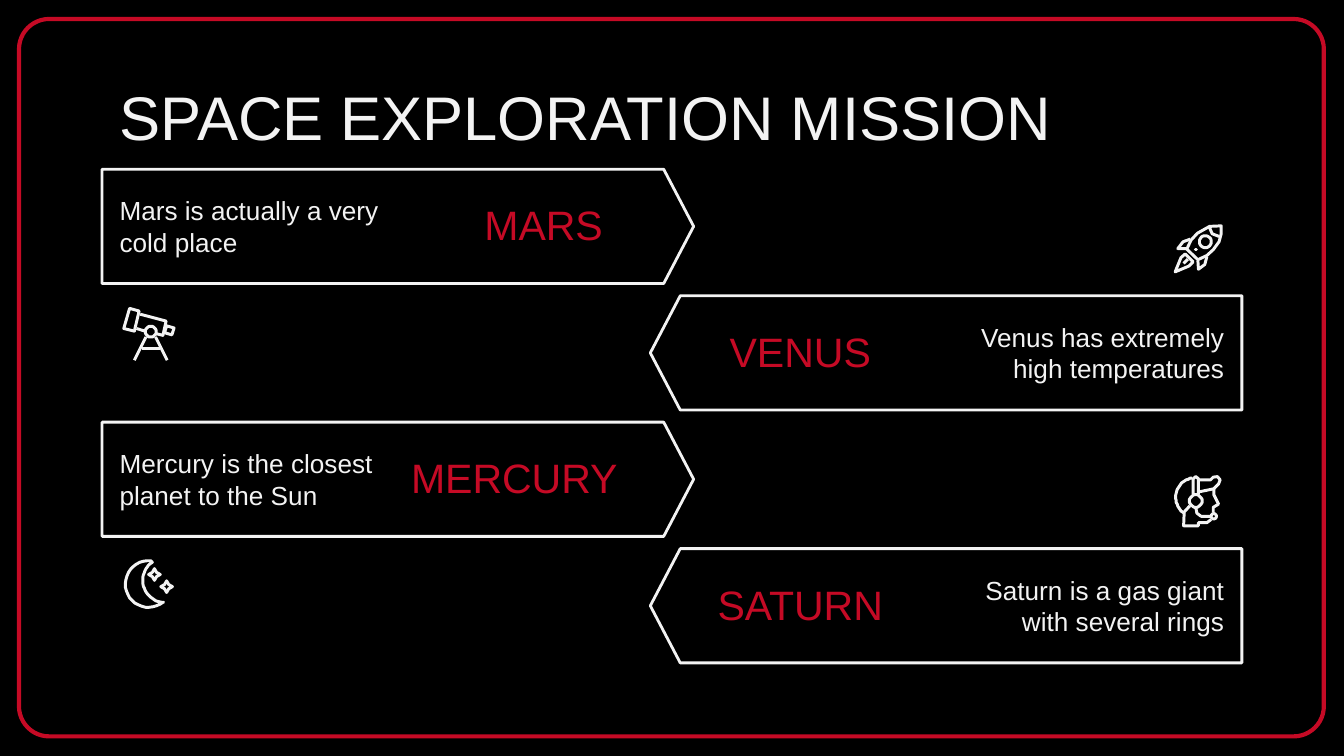
from dataclasses import dataclass
from math import cos, radians, sin

from pptx import Presentation
from pptx.dml.color import RGBColor
from pptx.enum import shapes, text
from pptx.util import Cm, Pt


@dataclass(frozen=True)
class Theme:
    font: str = "Arial"
    back: RGBColor = RGBColor(0x00, 0x00, 0x00)
    light: RGBColor = RGBColor(0xF3, 0xF3, 0xF3)
    accent: RGBColor = RGBColor(0xC5, 0x0A, 0x25)
    title: Pt = Pt(33)
    heading: Pt = Pt(22)
    body: Pt = Pt(14)


@dataclass(frozen=True)
class Box:
    left: float
    top: float
    width: float
    height: float

    def inner(self, dx, dy, width, height):
        return Box(self.left + dx, self.top + dy, width, height)

    def lengths(self):
        return Cm(self.left), Cm(self.top), Cm(self.width), Cm(self.height)


THEME = Theme()
ALIGN = text.PP_ALIGN
ANCHOR = text.MSO_ANCHOR


def arc(x, y, radius, start=0, stop=360, steps=24):
    angles = [radians(start + (stop - start) * i / steps) for i in range(steps + 1)]
    return [(x + radius * cos(a), y + radius * sin(a)) for a in angles]


def star(x, y):
    radii = (11, 5) * 4 + (11,)
    return [(x + r * cos(radians(45 * i)), y + r * sin(radians(45 * i)))
            for i, r in enumerate(radii)]


TELESCOPE = [[
    [(16, 4), (34, 9), (25, 47), (5, 42), (16, 4)],
    [(36, 15), (85, 28), (79, 55), (67, 52)],
    [(29, 42), (45, 47)],
    [(86, 37), (100, 41), (96, 54), (82, 50), (86, 37)],
    arc(56, 48, 10),
    [(47, 58), (25, 102)],
    [(65, 58), (87, 102)],
    [(39, 80), (73, 80)],
]]
MOON = [
    [star(58, 29)],
    [star(81, 52)],
    [arc(47, 47, 44, 51, 275) + arc(78, 40, 42, 235, 96) + arc(47, 47, 44, 51, 52, 1)[:1]],
]
ROCKET = [
    [arc(61, 33, 11)],
    [
        [(91, 3), (69, 4), (46, 17), (34, 30), (26, 47), (47, 67), (64, 59),
         (76, 48), (87, 33), (91, 18), (91, 3)],
        [(68, 4), (74, 18), (87, 23)],
        [(33, 28), (19, 33), (9, 46), (25, 46)],
        [(47, 69), (48, 85), (60, 76), (64, 61)],
        [(23, 56), (15, 63), (4, 90), (30, 79), (38, 71), (23, 56)],
        [(20, 74), (28, 66)],
    ],
    [arc(43, 48, 0.5)],
]
ASTRONAUT = [[
    arc(42, 43, 37, 260, 125)
    + [(20, 97), (48, 97), (48, 91), (64, 91), (72, 85)],
    [(20, 72), (32, 59)],
    [(38, 37), (38, 8), (43, 4), (48, 8), (48, 37)],
    arc(43, 50, 12),
    [(48, 10), (71, 10), (76, 5), (84, 4), (89, 10), (86, 18), (77, 27), (48, 33)],
    [(77, 27), (77, 38), (86, 56), (76, 62), (76, 72)],
    [(43, 62), (45, 73), (53, 79), (70, 79)],
    arc(77, 79, 5),
]]


def outline(shape, color, width):
    shape.shadow.inherit = False
    shape.fill.background()
    shape.line.color.rgb = color
    shape.line.width = Pt(width)


def write(shape, words, size, color, align=ALIGN.LEFT, anchor=ANCHOR.TOP):
    frame = shape.text_frame
    frame.text = words
    frame.word_wrap = True
    frame.auto_size = text.MSO_AUTO_SIZE.NONE
    frame.vertical_anchor = anchor
    frame.margin_left = frame.margin_right = Cm(0.25)
    frame.margin_top = frame.margin_bottom = Cm(0.25)
    para = frame.paragraphs[0]
    para.alignment = align
    for span in para.runs:
        span.font.name = THEME.font
        span.font.size = size
        span.font.color.rgb = color


def add_frame(page, box):
    frame = page.shapes.add_shape(shapes.MSO_SHAPE.ROUNDED_RECTANGLE, *box.lengths())
    frame.adjustments[0] = 0.042
    outline(frame, THEME.accent, 2.25)


def add_title(page, box, words):
    title = page.shapes.title
    title.left, title.top, title.width, title.height = box.lengths()
    write(title, words, THEME.title, THEME.light)


def add_planet(page, box, name, fact, points_left, name_align):
    group = page.shapes.add_group_shape()
    plate = group.shapes.add_shape(shapes.MSO_SHAPE.PENTAGON, *box.lengths())
    plate.adjustments[0] = 0.262
    plate.rotation = 180 if points_left else 0
    outline(plate, THEME.light, 1.5)

    near, far, width = 0.08, 5.59, 5.51
    name_x, fact_x = (near, far) if points_left else (far, near)
    heading = group.shapes.add_textbox(*box.inner(name_x, 0.41, width, 1.35).lengths())
    write(heading, name, THEME.heading, THEME.accent, name_align, ANCHOR.BOTTOM)
    body = group.shapes.add_textbox(*box.inner(fact_x, 0.23, width, 1.73).lengths())
    write(body, fact, THEME.body, THEME.light,
          ALIGN.RIGHT if points_left else ALIGN.LEFT)


def add_icon(page, left, top, parts):
    holder = page.shapes if len(parts) == 1 else page.shapes.add_group_shape().shapes
    for strokes in parts:
        builder = holder.build_freeform(*strokes[0][0], scale=Cm(0.01))
        for index, points in enumerate(strokes):
            if index:
                builder.move_to(*points[0])
            builder.add_line_segments(points[1:], close=points[0] == points[-1])
        outline(builder.convert_to_shape(Cm(left), Cm(top)), THEME.light, 1.6)


def add_mission(page):
    page.background.fill.solid()
    page.background.fill.fore_color.rgb = THEME.back
    add_frame(page, Box(0.36, 0.36, 24.66, 13.56))
    add_title(page, Box(2.01, 1.24, 21.41, 1.6), "SPACE EXPLORATION MISSION")

    planets = [
        ("MARS", "Mars is actually a very cold place", ALIGN.CENTER),
        ("VENUS", "Venus has extremely high temperatures", ALIGN.CENTER),
        ("MERCURY", "Mercury is the closest planet to the Sun", ALIGN.LEFT),
        ("SATURN", "Saturn is a gas giant with several rings", ALIGN.CENTER),
    ]
    for row, (name, fact, name_align) in enumerate(planets):
        points_left = row % 2 == 1
        box = Box(12.29 if points_left else 1.93, 3.2 + 2.39 * row, 11.18, 2.16)
        add_planet(page, box, name, fact, points_left, name_align)

    add_icon(page, 2.29, 5.79, TELESCOPE)
    add_icon(page, 2.34, 10.57, MOON)
    add_icon(page, 22.17, 4.24, ROCKET)
    add_icon(page, 22.17, 8.97, ASTRONAUT)


def main():
    deck = Presentation()
    deck.slide_width, deck.slide_height = Cm(25.4), Cm(14.29)
    add_mission(deck.slides.add_slide(deck.slide_layouts[5]))
    deck.save("out.pptx")


if __name__ == "__main__":
    main()
